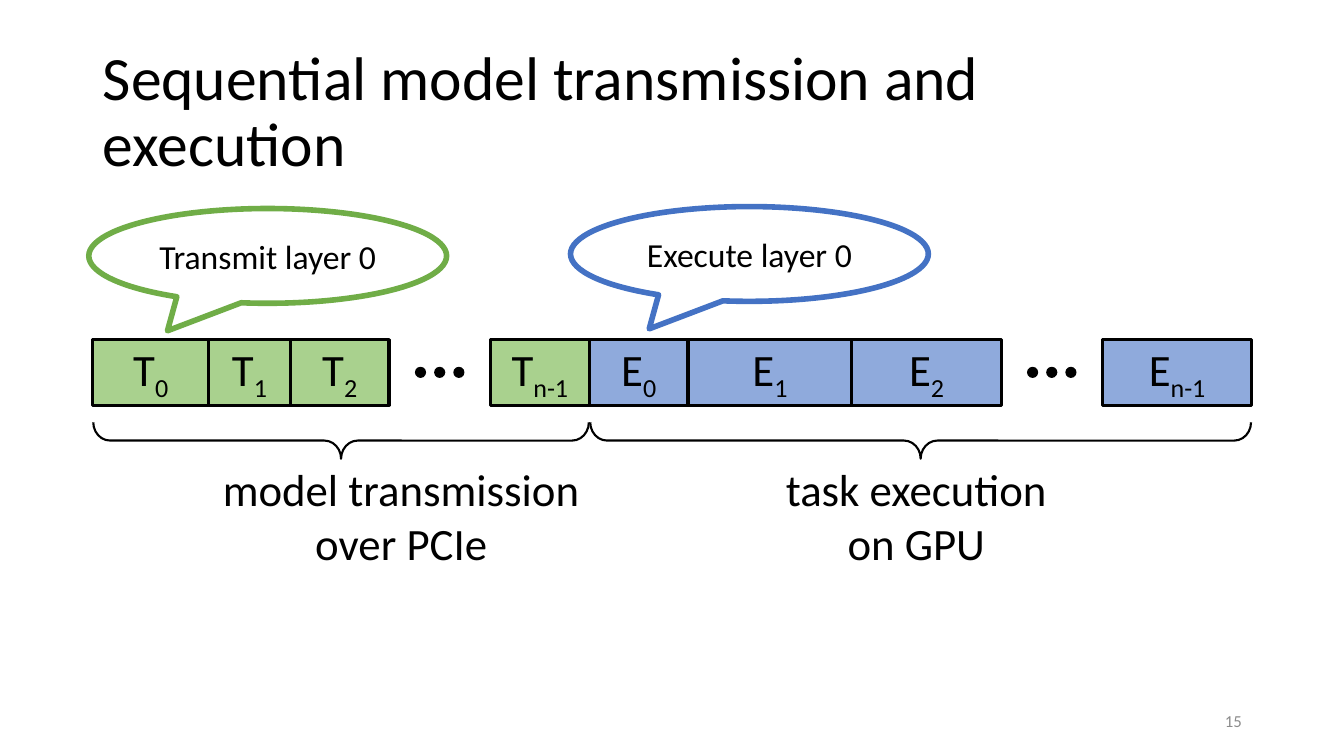
from pptx import Presentation
from pptx.dml.color import RGBColor
from pptx.enum import shapes, text
from pptx.util import Pt

BLACK = RGBColor(0, 0, 0)
WHITE = RGBColor(255, 255, 255)
GRAY = RGBColor(0x8C, 0x8C, 0x8C)
LIGHT_GREEN = RGBColor(0xA9, 0xD1, 0x8E)
LIGHT_BLUE = RGBColor(0x8F, 0xAA, 0xDC)
GREEN = RGBColor(0x70, 0xAD, 0x47)
BLUE = RGBColor(0x44, 0x72, 0xC4)
FONT = "Calibri"

# Content: timeline from left to right as (letter, subscript, width); None is a gap with dots
TITLE = "Sequential model transmission and execution"
PAGE = "15"
TIMELINE = [("T", "0", 82.8), ("T", "1", 58.3), ("T", "2", 70.6), None,
            ("T", "n-1", 70.6), ("E", "0", 70.6), ("E", "1", 117), ("E", "2", 106.6),
            None, ("E", "n-1", 106.6)]
FILLS = {"T": LIGHT_GREEN, "E": LIGHT_BLUE}
CALLOUTS = [("Transmit layer 0", 63.4, 149, GREEN), ("Execute layer 0", 407.5, 147.6, BLUE)]
# (lines, label left, label width, brace left, brace right)
PHASES = [(("model transmission", "over PCIe"), 150.5, 272.2, 66.6, 420.6),
          (("task execution", "on GPU"), 553, 203, 421.6, 893.6)]

LEFT, TOP, HEIGHT, GAP = 66.2, 242.6, 46.8, 72.4
DOT, DOT_STEP = 8, 13.7
BRACE_TOP, BRACE_H = 301.7, 26

prs = Presentation()
prs.slide_width, prs.slide_height = Pt(960), Pt(540)
s = prs.slides.add_slide(prs.slide_layouts[5])


def add(kind, x, y, w, h, fill=None, line=None, weight=0):
    sp = s.shapes.add_shape(kind, Pt(x), Pt(y), Pt(w), Pt(h))
    sp.shadow.inherit = False
    if fill is None:
        sp.fill.background()
    else:
        sp.fill.solid()
        sp.fill.fore_color.rgb = fill
    if line is None:
        sp.line.fill.background()
    else:
        sp.line.color.rgb = line
        sp.line.width = Pt(weight)
    return sp


def style(p, size, color=BLACK, align=text.PP_ALIGN.CENTER):
    p.alignment = align
    p.font.name, p.font.size, p.font.color.rgb = FONT, Pt(size), color


def text_box(lines, x, y, w, h, size, color=BLACK, align=text.PP_ALIGN.CENTER):
    tf = s.shapes.add_textbox(Pt(x), Pt(y), Pt(w), Pt(h)).text_frame
    tf.text = "\n".join(lines)
    for p in tf.paragraphs:
        style(p, size, color, align)
    return tf


# Title
title = s.shapes.title
title.left, title.top, title.width, title.height = Pt(66.2), Pt(28.8), Pt(800.6), Pt(104.4)
tf = title.text_frame
tf.text = TITLE
tf.auto_size = text.MSO_AUTO_SIZE.NONE
tf.vertical_anchor = text.MSO_ANCHOR.MIDDLE
style(tf.paragraphs[0], 44, align=text.PP_ALIGN.LEFT)
tf.paragraphs[0].line_spacing = 0.9

# Timeline boxes and dots
x = LEFT
for item in TIMELINE:
    if item is None:
        first = x + (GAP - DOT) / 2 - DOT_STEP
        dots = [add(shapes.MSO_SHAPE.OVAL, first + i * DOT_STEP, TOP + (HEIGHT - DOT) / 2,
                    DOT, DOT, BLACK) for i in range(3)]
        s.shapes.add_group_shape(dots)
        x += GAP
        continue
    letter, index, width = item
    sp = add(shapes.MSO_SHAPE.RECTANGLE, x, TOP, width, HEIGHT, FILLS[letter], BLACK, 2.25)
    p = sp.text_frame.paragraphs[0]
    style(p, 32)
    p.add_run().text = letter
    r = p.add_run()
    r.text = index
    r.font._element.set("baseline", "-25000")
    x += width

# Braces and phase labels; a right brace turned by 90 degrees points down
for lines, label_x, label_w, start, end in PHASES:
    span = end - start
    sp = add(shapes.MSO_SHAPE.RIGHT_BRACE, (start + end - BRACE_H) / 2,
             BRACE_TOP + (BRACE_H - span) / 2, BRACE_H, span, None, BLACK, 1.5)
    sp.rotation = 90
    sp.adjustments[0] = 0.46
    text_box(lines, label_x, 326.2, label_w, 85, 32).word_wrap = False

# Callouts
for label, x, y, color in CALLOUTS:
    sp = add(shapes.MSO_SHAPE.OVAL_CALLOUT, x, y, 255.6, 67.7, WHITE, color, 4)
    sp.adjustments[0], sp.adjustments[1] = -0.28, 0.79
    sp.text_frame.text = label
    style(sp.text_frame.paragraphs[0], 24)

# Page number
tf = text_box([PAGE], 678.2, 500.4, 216, 28.8, 12, GRAY, text.PP_ALIGN.RIGHT)
tf.word_wrap = True
tf.vertical_anchor = text.MSO_ANCHOR.MIDDLE

prs.save("out.pptx")
